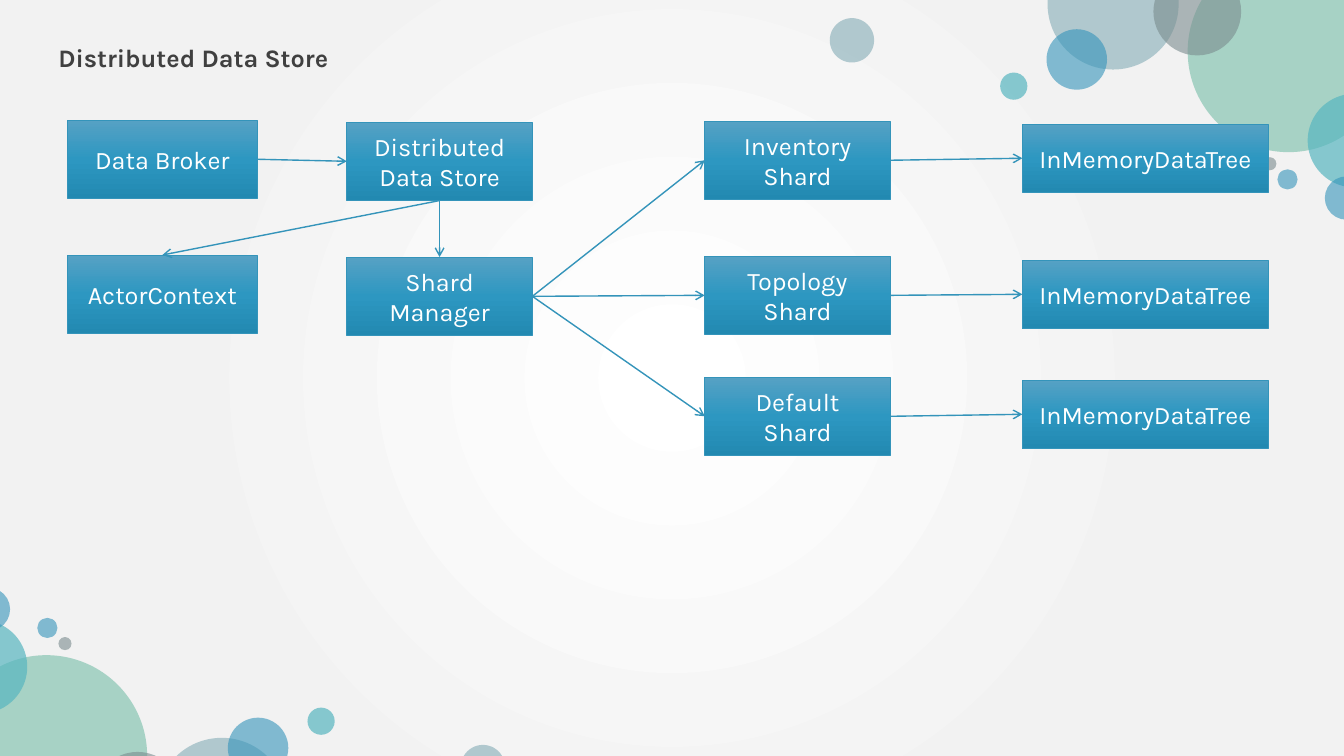
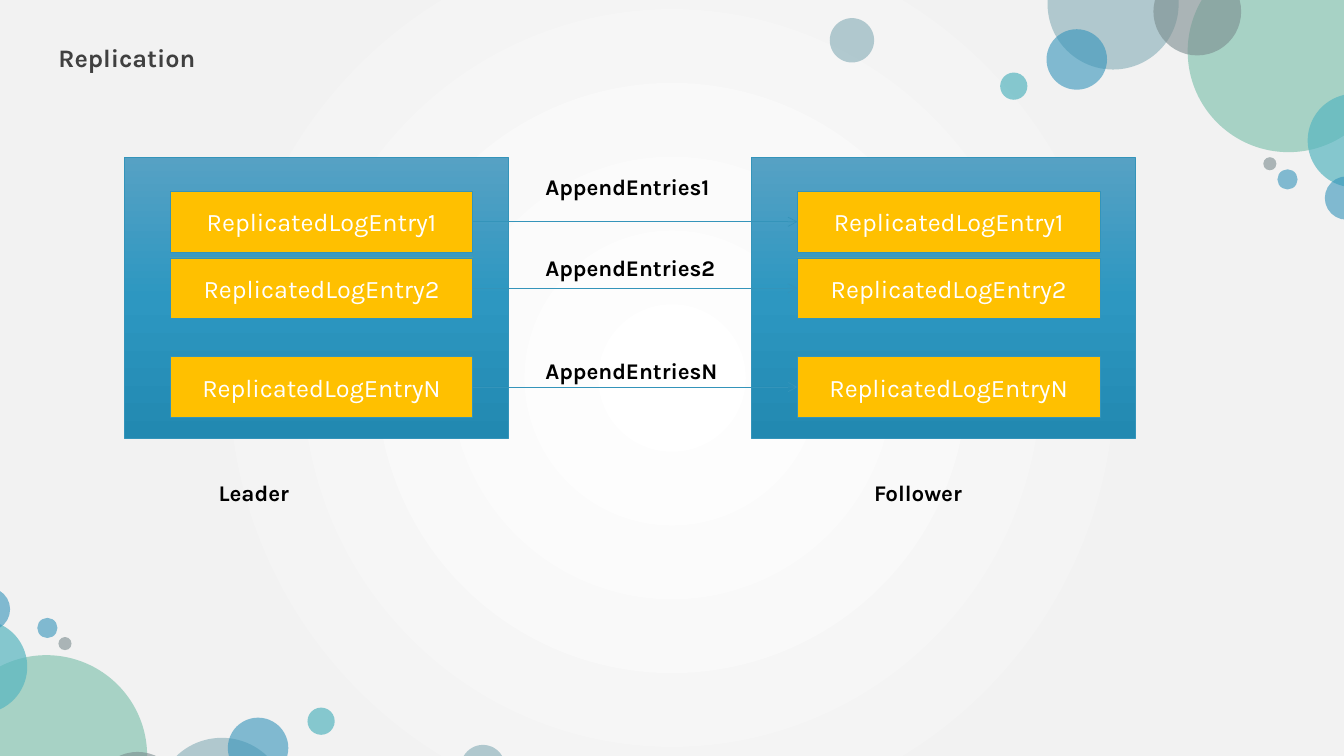
"""Build two slides on a distributed data store and its replication."""
from dataclasses import dataclass

from pptx import Presentation
from pptx.dml.color import RGBColor
from pptx.enum.shapes import MSO_CONNECTOR, MSO_SHAPE
from pptx.enum.text import MSO_ANCHOR, PP_ALIGN
from pptx.oxml import parse_xml
from pptx.oxml.ns import nsdecls, qn
from pptx.oxml.xmlchemy import OxmlElement
from pptx.presentation import Presentation as Deck
from pptx.shapes.autoshape import Shape
from pptx.slide import Slide, SlideLayout
from pptx.text.text import TextFrame
from pptx.util import Inches, Pt

RECTANGLE = MSO_SHAPE.RECTANGLE
OVAL = MSO_SHAPE.OVAL
STRAIGHT = MSO_CONNECTOR.STRAIGHT
MIDDLE = MSO_ANCHOR.MIDDLE
CENTER = PP_ALIGN.CENTER
TOP, LEFT, BOTTOM, RIGHT = range(4)

FONT = "Karla"
COLORS = {
    "blue": "3494BA",
    "teal": "58B6C0",
    "green": "75BDA7",
    "steel": "84ACB6",
    "gray": "7A8C8E",
    "amber": "FFC000",
    "title": "404040",
    "white": "FFFFFF",
    "black": "000000",
    "backdrop": "F2F2F2",
    "box_top": "56A1C4",
    "box_middle": "2D97C1",
    "box_bottom": "2289B1",
}
BOX_STOPS = ((0, "box_top"), (50, "box_middle"), (100, "box_bottom"))
BACKDROP_STOPS = ((0, "white"), (67, "backdrop"), (100, "backdrop"))
LINEAR = '<a:lin ang="5400000" scaled="0"/>'
CIRCULAR = (
    '<a:path path="circle">'
    '<a:fillToRect l="50000" t="50000" r="50000" b="50000"/></a:path>'
)
MIRROR_WIDTH, MIRROR_HEIGHT = 13.24, 8.01


@dataclass(frozen=True)
class Bubble:
    """A translucent circle of the corner decoration."""

    left: float
    top: float
    size: float
    color: str
    opacity: int = 60

    def mirrored(self) -> "Bubble":
        """Return the matching circle of the opposite corner."""
        left = MIRROR_WIDTH - self.left - self.size
        top = MIRROR_HEIGHT - self.top - self.size
        return Bubble(left, top, self.size, self.color, self.opacity)


@dataclass(frozen=True)
class Box:
    """A rectangle with centred text; without a color it gets the gradient."""

    left: float
    top: float
    width: float
    height: float
    text: str = ""
    color: str = ""


@dataclass(frozen=True)
class Label:
    """A bold line of text."""

    left: float
    top: float
    width: float
    height: float
    text: str
    size: int = 16
    color: str = "black"
    spacing: float = 0.9


BUBBLES = (
    Bubble(10.39, -0.61, 1.3, "steel"),
    Bubble(11.78, -0.49, 2, "green"),
    Bubble(11.44, -0.32, 0.87, "gray"),
    Bubble(10.38, 0.29, 0.6, "blue"),
    Bubble(12.97, 0.93, 0.93, "teal", 70),
    Bubble(9.92, 0.72, 0.27, "teal", 70),
    Bubble(13.14, 1.75, 0.43, "blue"),
    Bubble(12.67, 1.68, 0.2, "blue"),
    Bubble(12.53, 1.56, 0.13, "gray"),
    Bubble(8.23, 0.18, 0.44, "steel"),
)
BROKER = Box(0.67, 1.19, 1.88, 0.78, "Data Broker")
CONTEXT = Box(0.67, 2.53, 1.88, 0.78, "ActorContext")
STORE = Box(3.44, 1.21, 1.84, 0.78, "Distributed Data Store")
MANAGER = Box(3.44, 2.55, 1.84, 0.78, "Shard\nManager")
SHARDS = (("Inventory", 1.2, 1.23), ("Topology", 2.54, 2.58), ("Default", 3.74, 3.77))
PANELS = ((1.23, "Leader", 2.07), (7.45, "Follower", 8.57))
ENTRIES = (("1", 1.9, 1.7), ("2", 2.56, 2.5), ("N", 3.54, 3.52))


def rgb(name: str) -> RGBColor:
    """Look up a named color."""
    return RGBColor.from_string(COLORS[name])


def gradient_xml(stops: tuple[tuple[int, str], ...], direction: str) -> str:
    """Return the XML of a gradient fill."""
    marks = "".join(
        f'<a:gs pos="{position * 1000}"><a:srgbClr val="{COLORS[name]}"/></a:gs>'
        for position, name in stops
    )
    return (
        f'<a:gradFill {nsdecls("a")} rotWithShape="1">'
        f"<a:gsLst>{marks}</a:gsLst>{direction}</a:gradFill>"
    )


def write(frame: TextFrame, text: str, size: int, color: str, bold: bool = False) -> None:
    """Write each line of text as a paragraph with one run."""
    frame.word_wrap = True
    for index, line in enumerate(text.split("\n")):
        paragraph = frame.add_paragraph() if index else frame.paragraphs[0]
        run = paragraph.add_run()
        run.text = line
        run.font.name = FONT
        run.font.size = Pt(size)
        run.font.bold = bold
        run.font.color.rgb = rgb(color)


def add_bubble(slide: Slide, bubble: Bubble) -> Shape:
    """Draw a translucent circle."""
    size = Inches(bubble.size)
    shape = slide.shapes.add_shape(OVAL, Inches(bubble.left), Inches(bubble.top), size, size)
    shape.shadow.inherit = False
    shape.fill.solid()
    shape.fill.fore_color.rgb = rgb(bubble.color)
    shape.line.fill.background()
    alpha = OxmlElement("a:alpha")
    alpha.set("val", str(bubble.opacity * 1000))
    shape.element.spPr.find(f".//{qn('a:srgbClr')}").append(alpha)
    return shape


def add_box(slide: Slide, box: Box) -> Shape:
    """Draw a rectangle with its centred text."""
    shape = slide.shapes.add_shape(
        RECTANGLE, Inches(box.left), Inches(box.top), Inches(box.width), Inches(box.height)
    )
    shape.shadow.inherit = False
    if box.color:
        shape.fill.solid()
        shape.fill.fore_color.rgb = rgb(box.color)
    else:
        geometry = shape.element.spPr.find(qn("a:prstGeom"))
        geometry.addnext(parse_xml(gradient_xml(BOX_STOPS, LINEAR)))
    shape.line.color.rgb = rgb("blue")
    shape.line.width = Pt(0.5)
    if box.text:
        write(shape.text_frame, box.text, 18, "white")
        shape.text_frame.vertical_anchor = MIDDLE
        for paragraph in shape.text_frame.paragraphs:
            paragraph.alignment = CENTER
    return shape


def add_label(slide: Slide, label: Label) -> None:
    """Draw a bold line of text."""
    shape = slide.shapes.add_textbox(
        Inches(label.left), Inches(label.top), Inches(label.width), Inches(label.height)
    )
    write(shape.text_frame, label.text, label.size, label.color, bold=True)
    paragraph = shape.text_frame.paragraphs[0]
    paragraph.line_spacing = label.spacing
    paragraph.space_before = Pt(10)


def add_arrow(
    slide: Slide,
    start: Shape,
    end: Shape,
    start_side: int = RIGHT,
    end_side: int = LEFT,
    weight: float = 1,
) -> None:
    """Join the sides of two boxes with an arrow."""
    connector = slide.shapes.add_connector(STRAIGHT, 0, 0, 0, 0)
    connector.begin_connect(start, start_side)
    connector.end_connect(end, end_side)
    connector.line.color.rgb = rgb("blue")
    connector.line.width = Pt(weight)
    head = OxmlElement("a:tailEnd")
    head.set("type", "arrow")
    connector.line.fill
    properties = connector.element.spPr
    properties.find(qn("a:ln")).append(head)
    properties.append(OxmlElement("a:effectLst"))


def decorate_layout(layout: SlideLayout, slide: Slide) -> None:
    """Give the layout its backdrop and corner bubbles."""
    for placeholder in list(layout.placeholders):
        layout.shapes.element.remove(placeholder.element)
    backdrop = parse_xml(
        f'<p:bg {nsdecls("p", "a")}><p:bgPr>'
        f"{gradient_xml(BACKDROP_STOPS, CIRCULAR)}<a:effectLst/></p:bgPr></p:bg>"
    )
    layout.shapes.element.addprevious(backdrop)
    bubbles = BUBBLES + tuple(bubble.mirrored() for bubble in BUBBLES)
    shapes = [add_bubble(slide, bubble) for bubble in bubbles]
    for shape in shapes:
        layout.shapes.element.append(shape.element)


def add_titled_slide(presentation: Deck, title: str) -> Slide:
    """Add a slide with its title, decorating the layout for the first one."""
    layout = presentation.slide_layouts[6]
    slide = presentation.slides.add_slide(layout)
    if len(presentation.slides) == 1:
        decorate_layout(layout, slide)
    add_label(slide, Label(0.48, 0.28, 3.72, 0.44, title, 18, "title", 1.3))
    return slide


def build_data_store(presentation: Deck) -> None:
    """Draw the path from the broker to the shards and their trees."""
    slide = add_titled_slide(presentation, "Distributed Data Store")
    broker, context, store, manager = (
        add_box(slide, box) for box in (BROKER, CONTEXT, STORE, MANAGER)
    )
    add_arrow(slide, broker, store)
    add_arrow(slide, store, manager, BOTTOM, TOP)
    add_arrow(slide, store, context, BOTTOM, TOP)
    for name, shard_top, tree_top in SHARDS:
        shard = add_box(slide, Box(6.99, shard_top, 1.84, 0.78, f"{name}\nShard"))
        tree = add_box(slide, Box(10.14, tree_top, 2.44, 0.68, "InMemoryDataTree"))
        add_arrow(slide, manager, shard)
        add_arrow(slide, shard, tree)


def build_replication(presentation: Deck) -> None:
    """Draw the log entries sent from the leader to the follower."""
    slide = add_titled_slide(presentation, "Replication")
    for left, caption, caption_left in PANELS:
        add_box(slide, Box(left, 1.56, 3.81, 2.79))
        add_label(slide, Label(caption_left, 4.73, 1.41, 0.46, caption))
    for suffix, entry_top, label_top in ENTRIES:
        source, target = (
            add_box(
                slide,
                Box(left + 0.46, entry_top, 3, 0.6, f"ReplicatedLogEntry{suffix}", "amber"),
            )
            for left, _, _ in PANELS
        )
        add_arrow(slide, source, target, weight=0.5)
        add_label(slide, Label(5.31, label_top, 2.01, 0.32, f"AppendEntries{suffix}"))


def main() -> None:
    """Build and save the presentation."""
    presentation = Presentation()
    presentation.slide_width = Inches(13.33)
    presentation.slide_height = Inches(7.5)
    build_data_store(presentation)
    build_replication(presentation)
    presentation.save("out.pptx")


if __name__ == "__main__":
    main()
